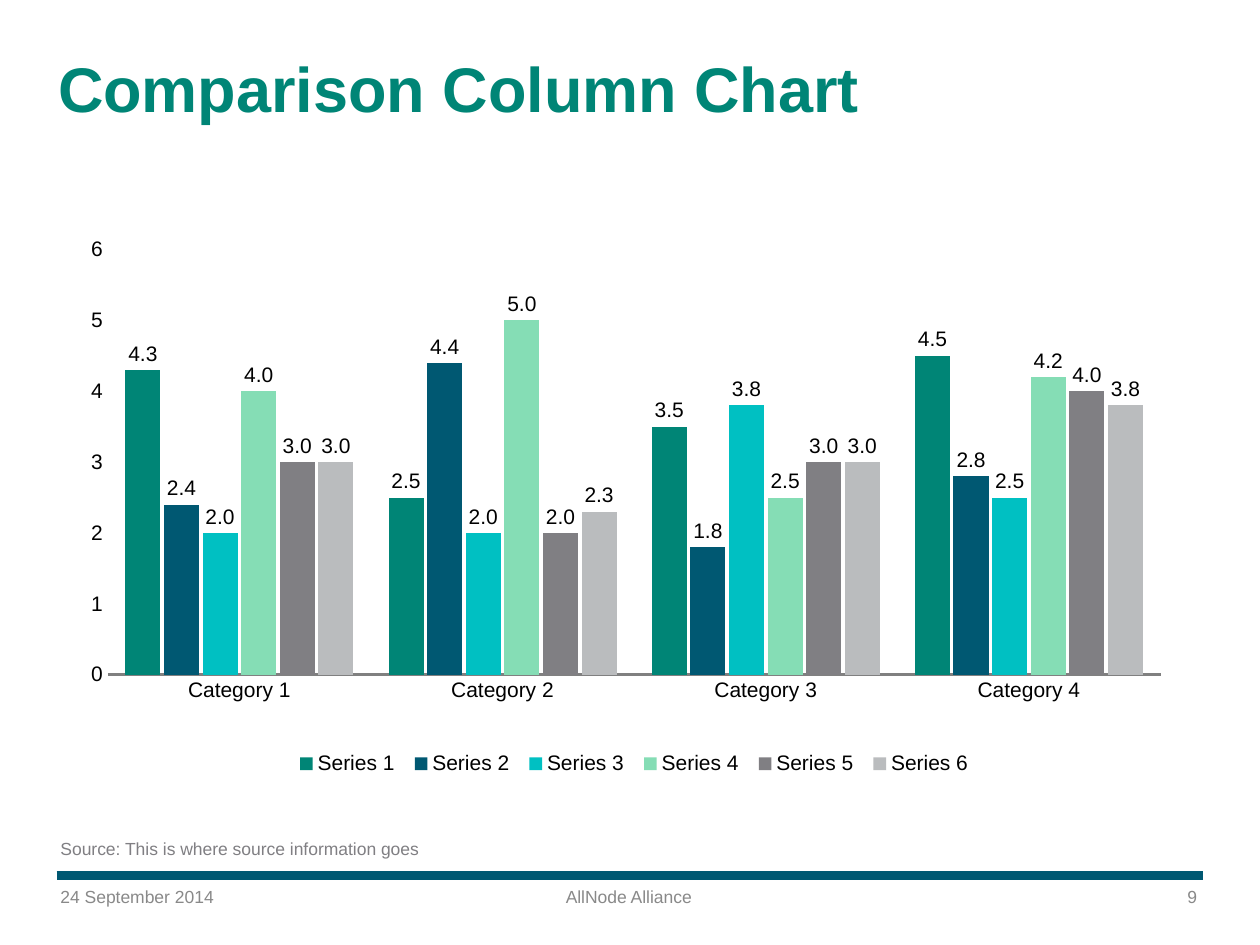
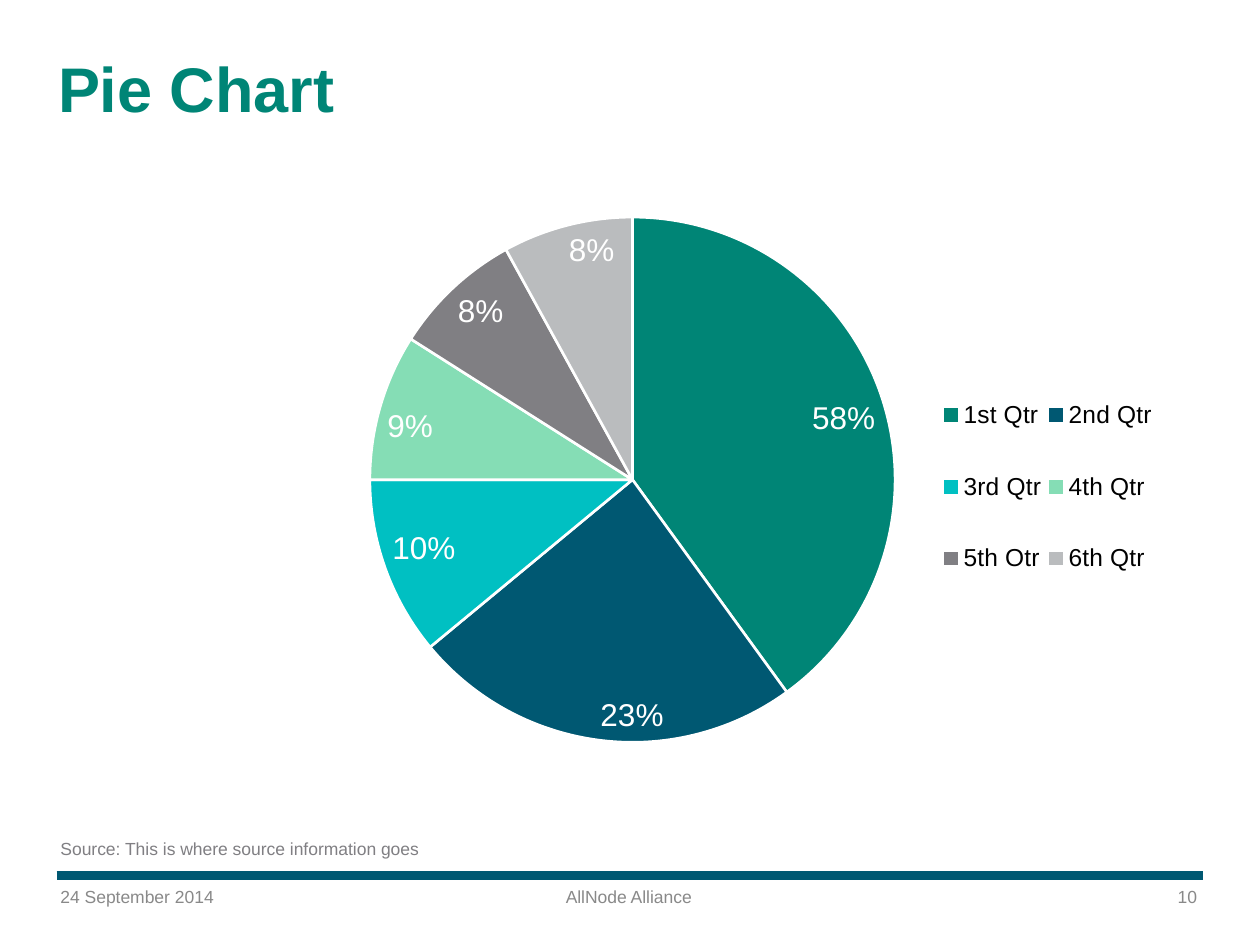
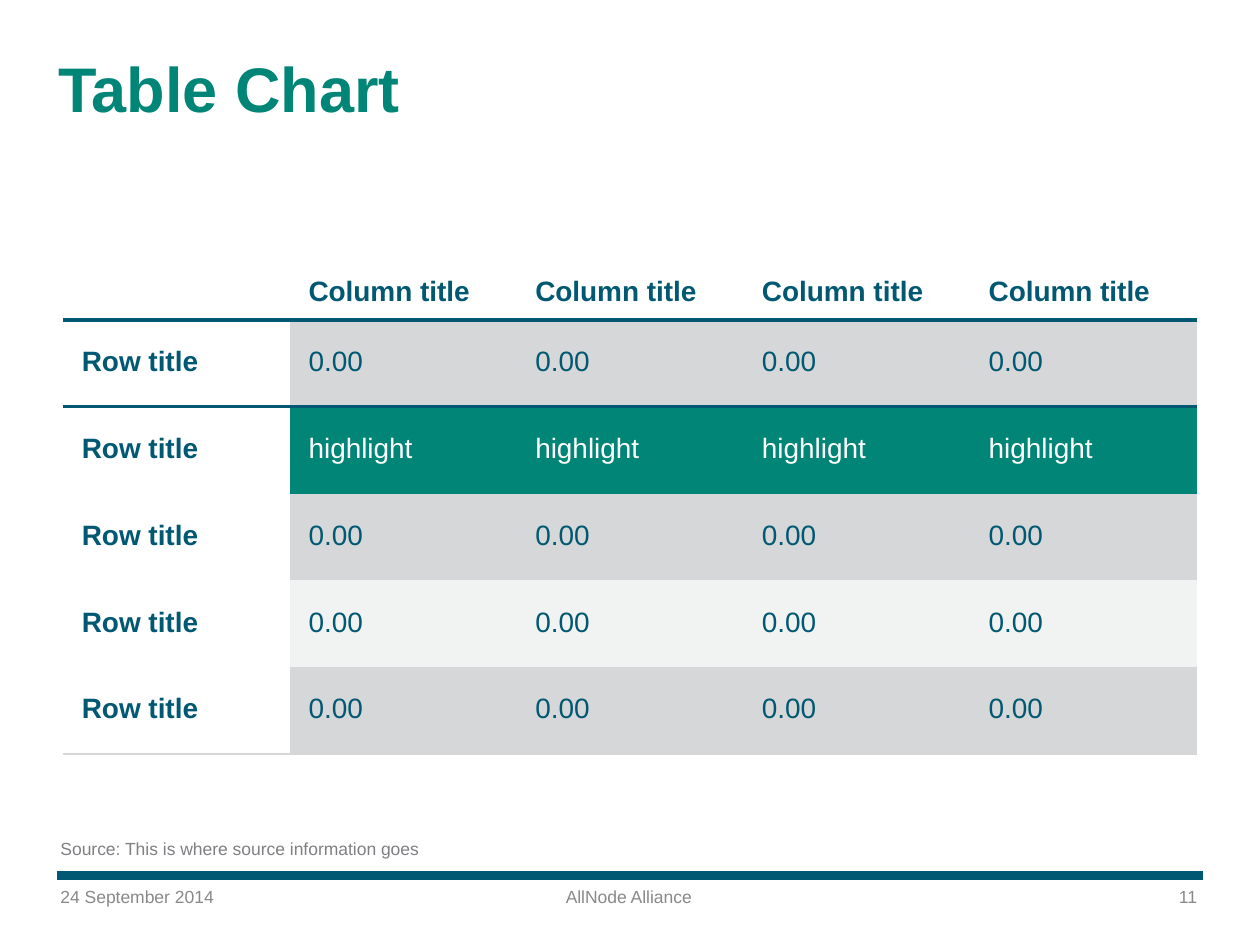
"""Build three data slides: a column chart, a pie chart and a table."""
import pptx
import pptx.chart.data
import pptx.dml.color
import pptx.enum.chart
import pptx.enum.shapes
import pptx.enum.text
import pptx.oxml
import pptx.oxml.ns
import pptx.util
from pptx.util import Cm

FONT = "Arial"
TEAL, NAVY, GREY = "008576", "005872", "807F83"
WHITE, BLACK, FOOTER_GREY, AXIS_GREY = "FFFFFF", "000000", "898989", "808080"
BAND, LIGHT_BAND = "D6D7D8", "F1F2F2"
SERIES_COLORS = [TEAL, NAVY, "00C0C2", "85DDB5", GREY, "BABCBE"]
NO_STYLE_TABLE = "{2D5ABB26-0587-4C30-8999-92F81FD0307C}"

ALIGN = pptx.enum.text.PP_ALIGN
ANCHOR = pptx.enum.text.MSO_ANCHOR
CHART = pptx.enum.chart.XL_CHART_TYPE
LABEL = pptx.enum.chart.XL_LABEL_POSITION
LEGEND = pptx.enum.chart.XL_LEGEND_POSITION
TICK = pptx.enum.chart.XL_TICK_MARK


def rgb(hex_color):
    """Turn a hex string into a colour."""
    return pptx.dml.color.RGBColor.from_string(hex_color)


def paint(shape_format, hex_color):
    """Fill a chart part, cell or shape with one colour."""
    shape_format.fill.solid()
    shape_format.fill.fore_color.rgb = rgb(hex_color)


def style_font(font, size, color, bold=False):
    """Set the face, size, colour and weight of a font."""
    font.name, font.size, font.bold = FONT, pptx.util.Pt(size), bold
    font.color.rgb = rgb(color)


def write(frame, text, size=10, color=BLACK, bold=False, align=ALIGN.LEFT,
          line_spacing=None, space_after=None):
    """Put formatted text in the first paragraph of a text frame."""
    paragraph = frame.paragraphs[0]
    paragraph.alignment = align
    paragraph.line_spacing = line_spacing
    if space_after is not None:
        paragraph.space_after = pptx.util.Pt(space_after)
    run = paragraph.add_run()
    run.text = text
    style_font(run.font, size, color, bold)


def fit_frame(frame, anchor=ANCHOR.TOP):
    """Give a text frame the common margins, wrapping and growth."""
    frame.margin_left = frame.margin_right = Cm(0.13)
    frame.margin_top = frame.margin_bottom = Cm(0.13)
    frame.word_wrap = True
    frame.auto_size = pptx.enum.text.MSO_AUTO_SIZE.SHAPE_TO_FIT_TEXT
    frame.vertical_anchor = anchor


def place_in_chart(element, index, x, y, w, h, inner=False):
    """Lay out a plot area or legend by fractions of its chart."""
    for old in element.findall(pptx.oxml.ns.qn("c:layout")):
        element.remove(old)
    target = '<c:layoutTarget val="inner"/>' if inner else ""
    element.insert(index, pptx.oxml.parse_xml(
        f'<c:layout {pptx.oxml.ns.nsdecls("c")}><c:manualLayout>{target}'
        '<c:xMode val="edge"/><c:yMode val="edge"/>'
        f'<c:x val="{x}"/><c:y val="{y}"/><c:w val="{w}"/><c:h val="{h}"/>'
        '</c:manualLayout></c:layout>'))


def underline_cell(cell, color, width):
    """Draw the bottom border of a table cell, with its width in points."""
    cell._tc.get_or_add_tcPr().insert(0, pptx.oxml.parse_xml(
        f'<a:lnB {pptx.oxml.ns.nsdecls("a")} w="{int(width * 12700)}">'
        f'<a:solidFill><a:srgbClr val="{color}"/></a:solidFill></a:lnB>'))


class Deck:
    """Hold the presentation, its shared style and the current slide."""

    def __init__(self, first_number):
        """Start a presentation whose pages count from first_number."""
        self.show = pptx.Presentation()
        self.show.slide_width, self.show.slide_height = Cm(25.4), Cm(19.05)
        self.number = first_number
        self.slide = None

    def new_slide(self, title):
        """Add a slide with its title, source note, band and footer."""
        self.slide = self.show.slides.add_slide(self.show.slide_layouts[5])
        self.rule(1.14, 17.65, 24.26)
        footers = ["24 September 2014", "AllNode Alliance", str(self.number)]
        aligns = [ALIGN.LEFT, ALIGN.CENTER, ALIGN.RIGHT]
        for column, (footer, align) in enumerate(zip(footers, aligns)):
            self.note(footer, 1.09 + 8.45 * column, 17.73, 6.27, FOOTER_GREY, align)
        self.title(title)
        self.note("Source: This is where source information goes",
                  1.09, 16.76, 9.25, GREY)
        self.number += 1

    def title(self, text):
        """Place and fill the title placeholder."""
        heading = self.slide.shapes.title
        heading.left, heading.top = Cm(1.04), Cm(0.97)
        heading.width, heading.height = Cm(23.42), Cm(1.73)
        fit_frame(heading.text_frame, ANCHOR.MIDDLE)
        write(heading.text_frame, text, size=36, color=TEAL, bold=True,
              line_spacing=0.95)

    def note(self, text, left, top, width, color, align=ALIGN.LEFT):
        """Add a small line of text."""
        box = self.slide.shapes.add_textbox(Cm(left), Cm(top), Cm(width), Cm(0.69))
        fit_frame(box.text_frame)
        write(box.text_frame, text, color=color, align=align)

    def rule(self, left, top, right):
        """Add the thick line above the footer."""
        band = self.slide.shapes.add_connector(
            pptx.enum.shapes.MSO_CONNECTOR.STRAIGHT,
            Cm(left), Cm(top), Cm(right), Cm(top))
        band.line.color.rgb = rgb(NAVY)
        band.line.width = pptx.util.Pt(5.5)
        band._element.spPr.append(pptx.oxml.parse_xml(
            f'<a:effectLst {pptx.oxml.ns.nsdecls("a")}/>'))

    def chart(self, kind, categories, series, box, plot_box, size,
              legend, legend_box, legend_size):
        """Add a chart with its font, legend and plot area set."""
        data = pptx.chart.data.CategoryChartData()
        data.categories = categories
        for name, values in series.items():
            data.add_series(name, values)
        chart = self.slide.shapes.add_chart(kind, *map(Cm, box), data).chart
        chart.has_title = False
        style_font(chart.font, size, BLACK)
        chart.has_legend = True
        chart.legend.position = legend
        chart.legend.include_in_layout = False
        style_font(chart.legend.font, legend_size, BLACK)
        place_in_chart(chart.legend._element, 1, *legend_box)
        place_in_chart(chart._chartSpace.chart.plotArea, 0, *plot_box, inner=True)
        return chart

    def column_chart(self, categories, series):
        """Add clustered columns with a value above each."""
        chart = self.chart(
            CHART.COLUMN_CLUSTERED, categories, series,
            box=(1.27, 4.57, 22.58, 11.58), plot_box=(0.04, 0.04, 0.94, 0.74),
            size=12, legend=LEGEND.BOTTOM,
            legend_box=(0.2, 0.9, 0.62, 0.07), legend_size=12)
        plot = chart.plots[0]
        plot.gap_width, plot.overlap, plot.vary_by_categories = 100, -10, False
        for columns, color in zip(plot.series, SERIES_COLORS):
            paint(columns.format, color)
            labels = columns.data_labels
            labels.show_value, labels.position = True, LABEL.OUTSIDE_END
            labels.number_format = "#,##0.0"
            labels.number_format_is_linked = False
        for axis in (chart.category_axis, chart.value_axis):
            axis.major_tick_mark = axis.minor_tick_mark = TICK.NONE
            axis.has_major_gridlines = False
        chart.category_axis.format.line.color.rgb = rgb(AXIS_GREY)
        chart.category_axis.format.line.width = pptx.util.Pt(1.75)
        scale = chart.value_axis
        scale.format.line.fill.background()
        scale.minimum_scale, scale.maximum_scale, scale.major_unit = 0, 6, 1
        scale.tick_labels.number_format = "General"
        scale.tick_labels.number_format_is_linked = False

    def pie_chart(self, categories, shares, own_labels):
        """Add a pie; own_labels replace the first computed percentages."""
        chart = self.chart(
            CHART.PIE, categories, {"Series 1": shares},
            box=(2.95, 3.53, 20.42, 14.12), plot_box=(0.22, 0.06, 0.52, 0.75),
            size=18, legend=LEGEND.RIGHT,
            legend_box=(0.78, 0.26, 0.22, 0.37), legend_size=14)
        plot = chart.plots[0]
        plot.vary_by_categories = True
        pie = plot.series[0]
        labels = pie.data_labels
        labels.show_percentage, labels.show_value = True, False
        labels.number_format, labels.number_format_is_linked = "0%", False
        labels.position = LABEL.INSIDE_END
        style_font(labels.font, 18, WHITE)
        for index, color in enumerate(SERIES_COLORS):
            wedge = pie.points[index]
            paint(wedge.format, color)
            wedge.format.line.color.rgb = rgb(WHITE)
            wedge.format.line.width = pptx.util.Pt(1.5)
        for index, text in enumerate(own_labels):
            label = pie.points[index].data_label
            write(label.text_frame, text, size=18, color=WHITE, align=ALIGN.CENTER)
            label.position = LABEL.INSIDE_END

    def table(self, rows, fills, underlines, highlight):
        """Add a table with row fills, ruled rows and a highlighted row."""
        frame = self.slide.shapes.add_table(
            len(rows), len(rows[0]), Cm(1.27), Cm(5.18), Cm(22.86), Cm(10.08))
        grid = frame.table
        grid.first_row = grid.horz_banding = False
        grid._tbl.tblPr.find(pptx.oxml.ns.qn("a:tableStyleId")).text = NO_STYLE_TABLE
        for column in grid.columns:
            column.width = Cm(4.57)
        for r, texts in enumerate(rows):
            grid.rows[r].height = Cm(1.75 if r else 1.27)
            for c, text in enumerate(texts):
                cell = grid.cell(r, c)
                cell.margin_left = cell.margin_right = Cm(0.38)
                cell.margin_top = cell.margin_bottom = Cm(0.25)
                cell.vertical_anchor = ANCHOR.MIDDLE if r else ANCHOR.BOTTOM
                is_value = r > 0 and c > 0
                if is_value:
                    paint(cell, fills[r])
                else:
                    cell.fill.background()
                if text:
                    write(cell.text_frame, text, size=16, bold=not is_value,
                          color=WHITE if is_value and r == highlight else NAVY,
                          line_spacing=0.9 if r else 0.95,
                          space_after=3 if r else 0)
                if r in underlines:
                    underline_cell(cell, *underlines[r])


def main():
    """Build the slides and save them."""
    deck = Deck(first_number=9)

    deck.new_slide("Comparison Column Chart")
    deck.column_chart(
        [f"Category {n}" for n in range(1, 5)],
        {"Series 1": [4.3, 2.5, 3.5, 4.5],
         "Series 2": [2.4, 4.4, 1.8, 2.8],
         "Series 3": [2, 2, 3.8, 2.5],
         "Series 4": [4, 5, 2.5, 4.2],
         "Series 5": [3, 2, 3, 4],
         "Series 6": [3, 2.3, 3, 3.8]})

    deck.new_slide("Pie Chart")
    deck.pie_chart(
        ["1st Qtr", "2nd Qtr", "3rd Qtr", "4th Qtr", "5th Otr", "6th Qtr"],
        [40, 24, 11, 9, 8, 8], own_labels=["58%", "23%", "10%", "9%"])

    deck.new_slide("Table Chart")
    highlight = 2
    rows = [[""] + ["Column title"] * 4]
    rows += [["Row title"] + ["highlight" if r == highlight else "0.00"] * 4
             for r in range(1, 6)]
    deck.table(rows, fills=[None, BAND, TEAL, BAND, LIGHT_BAND, BAND],
               underlines={0: (NAVY, 2.25), 1: (NAVY, 1.75), 5: (BAND, 1)},
               highlight=highlight)

    deck.show.save("out.pptx")


main()
